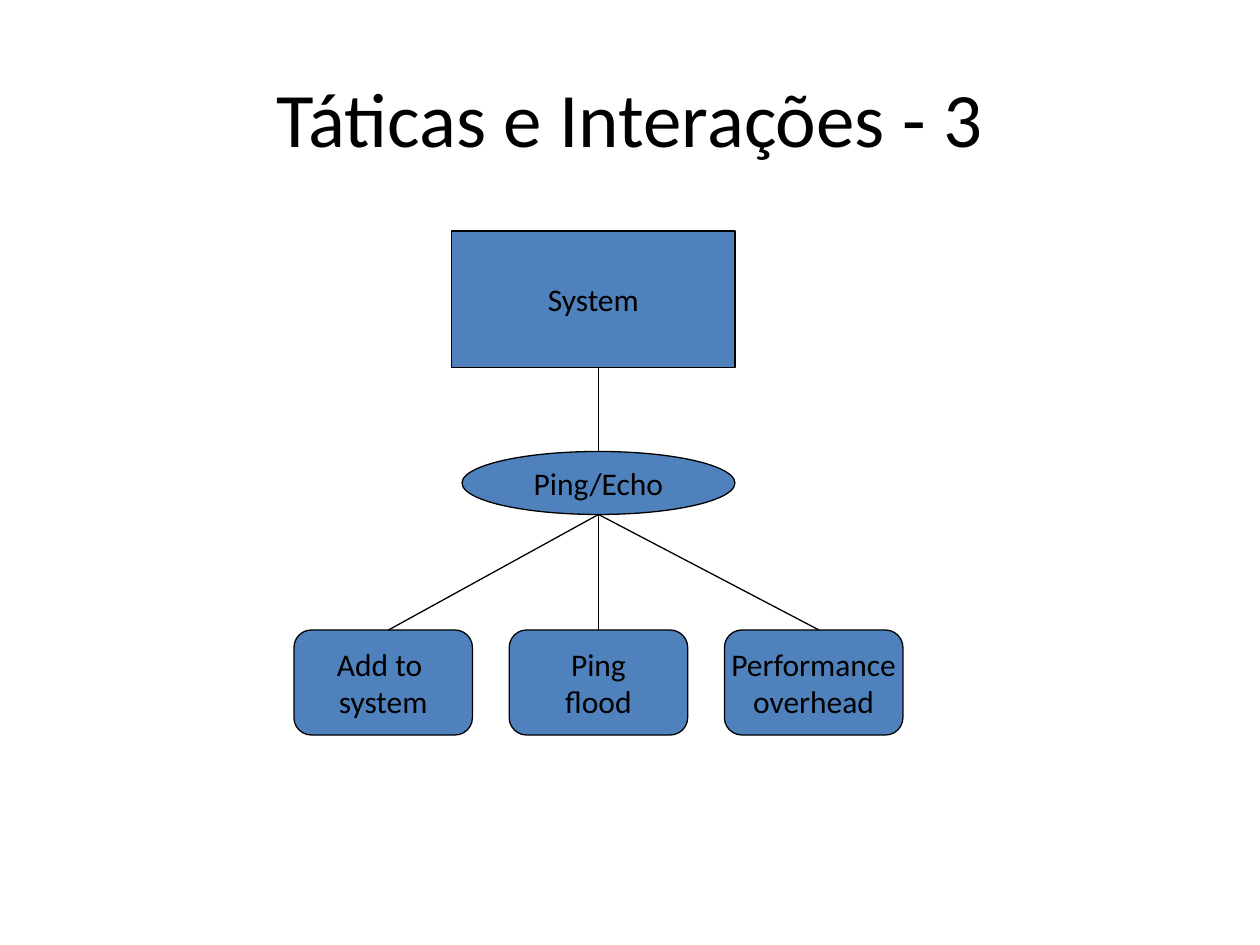
import pptx
import pptx.dml.color
import pptx.enum.shapes
import pptx.enum.text
import pptx.oxml.ns
import pptx.util
from lxml import etree

SHAPES = pptx.enum.shapes.MSO_SHAPE


def color(hex_string):
    return pptx.dml.color.RGBColor.from_string(hex_string)


def grid(units):
    """Length of a number of grid cells, twelve to the inch."""
    return pptx.util.Inches(units / 12)


class TacticsSlide:
    font = "Calibri"
    ink = "000000"
    fill = "4F81BD"
    line_width = 0.75

    def __init__(self, presentation):
        self.slide = presentation.slides.add_slide(presentation.slide_layouts[6])
        self.diagram = self.slide.shapes.add_group_shape().shapes

    def add_text(self, shape, lines, size, wrap):
        frame = shape.text_frame
        frame.word_wrap = wrap
        frame.vertical_anchor = pptx.enum.text.MSO_ANCHOR.MIDDLE
        for index, line in enumerate(lines):
            paragraph = frame.add_paragraph() if index else frame.paragraphs[0]
            paragraph.alignment = pptx.enum.text.PP_ALIGN.CENTER
            run = paragraph.add_run()
            run.text = line
            run.font.name = self.font
            run.font.size = pptx.util.Pt(size)
            run.font.color.rgb = color(self.ink)

    def outline(self, line):
        line.color.rgb = color(self.ink)
        line.width = pptx.util.Pt(self.line_width)

    def title(self, text, *box):
        shape = self.slide.shapes.add_textbox(*map(grid, box))
        self.add_text(shape, [text], 44, True)

    def node(self, kind, lines, *box):
        shape = self.diagram.add_shape(kind, *map(grid, box))
        shape.shadow.inherit = False
        shape.fill.solid()
        shape.fill.fore_color.rgb = color(self.fill)
        self.outline(shape.line)
        self.add_text(shape, lines, 18, False)

    def link(self, *ends):
        connector = self.diagram.add_connector(
            pptx.enum.shapes.MSO_CONNECTOR.STRAIGHT, *map(grid, ends))
        self.outline(connector.line)
        etree.SubElement(connector._element.spPr, pptx.oxml.ns.qn("a:effectLst"))


def main():
    presentation = pptx.Presentation()
    presentation.slide_width = grid(120)
    presentation.slide_height = grid(90)

    tactics = TacticsSlide(presentation)
    tactics.title("Táticas e Interações - 3", 6, 3.6, 108, 15)

    axis = 57
    tactics.node(SHAPES.RECTANGLE, ["System"], 43, 22, 27, 13)
    tactics.link(axis, 35, axis, 43)
    tactics.node(SHAPES.OVAL, ["Ping/Echo"], 44, 43, 26, 6)

    effects = [
        (["Add to ", "system"], 37),
        (["Ping", "flood"], axis),
        (["Performance", "overhead"], 78),
    ]
    for index, (lines, link_column) in enumerate(effects):
        tactics.node(SHAPES.ROUNDED_RECTANGLE, lines, 28 + 20.5 * index, 60, 17, 10)
        tactics.link(axis, 49, link_column, 60)

    presentation.save("out.pptx")


if __name__ == "__main__":
    main()
